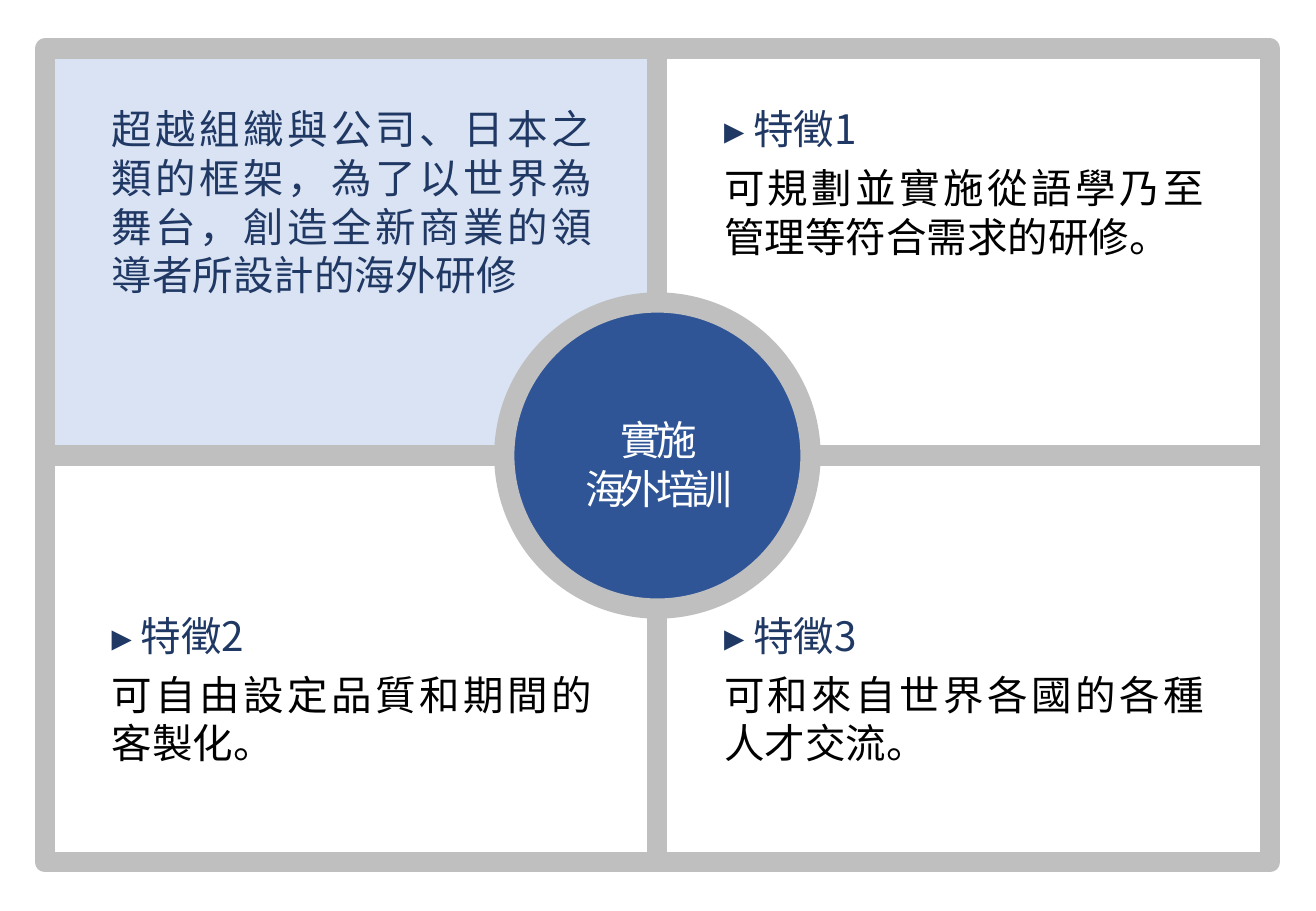
from dataclasses import dataclass

from lxml import etree
from pptx import Presentation
from pptx.dml.color import RGBColor
from pptx.enum.shapes import MSO_SHAPE
from pptx.enum.text import MSO_ANCHOR, MSO_AUTO_SIZE, PP_ALIGN
from pptx.oxml.ns import qn
from pptx.util import Inches, Pt

FONT = "Noto Sans CJK SC"
TEXT_SIZE = 24
COLORS = {
    "white": "FFFFFF",
    "frame": "BFBFBF",
    "tint": "DAE3F3",
    "circle": "2F5597",
    "heading": "203864",
    "body": "000000",
}

# Grid of four panels, in inches
LEFT, TOP = 0.37, 0.4
PANEL_W, PANEL_H = 5.04, 3.35
TEXT_INSET = 0.45
TEXT_W = 4.15
TEXT_TOPS = (0.81, 4.98)
CIRCLE = 2.52


@dataclass(frozen=True)
class Line:
    text: str
    color: str


@dataclass(frozen=True)
class Panel:
    row: int
    column: int
    fill: str
    text_height: float
    lines: tuple[Line, ...]


def feature(number: int, row: int, column: int, text: str) -> Panel:
    lines = (Line(f"▸ 特徵{number}", "heading"), Line(text, "body"))
    return Panel(row, column, "white", 1.4, lines)


PANELS = (
    feature(1, 0, 1, "可規劃並實施從語學乃至管理等符合需求的研修。"),
    feature(3, 1, 1, "可和來自世界各國的各種人才交流。"),
    Panel(0, 0, "tint", 1.72, (
        Line("超越組織與公司、日本之類的框架，為了以世界為舞台，"
             "創造全新商業的領導者所設計的海外研修", "heading"),
    )),
    feature(2, 1, 0, "可自由設定品質和期間的客製化。"),
)
CENTER_LINES = (Line("實施", "white"), Line("海外培訓", "white"))


def rgb(name: str) -> RGBColor:
    return RGBColor.from_string(COLORS[name])


def add_framed(slide, kind: MSO_SHAPE, left: float, top: float,
               width: float, height: float, fill: str) -> None:
    shape = slide.shapes.add_shape(
        kind, Inches(left), Inches(top), Inches(width), Inches(height))
    shape.shadow.inherit = False
    shape.fill.solid()
    shape.fill.fore_color.rgb = rgb(fill)
    shape.line.color.rgb = rgb("frame")
    shape.line.width = Pt(12)


def write_lines(frame, lines: tuple[Line, ...], align: PP_ALIGN,
                space_after: float = 0, spacing: float = 0) -> None:
    frame.word_wrap = True
    frame.auto_size = MSO_AUTO_SIZE.NONE
    frame.vertical_anchor = MSO_ANCHOR.TOP
    for index, line in enumerate(lines):
        paragraph = frame.add_paragraph() if index else frame.paragraphs[0]
        paragraph.alignment = align
        paragraph.space_after = Pt(space_after)
        run = paragraph.add_run()
        run.text = line.text
        run.font.size = Pt(TEXT_SIZE)
        run.font.name = FONT
        run.font.color.rgb = rgb(line.color)
        properties = run.font._element
        etree.SubElement(properties, qn("a:ea")).set("typeface", FONT)
        if spacing:
            properties.set("spc", str(round(spacing * 100)))


def add_panel(slide, panel: Panel) -> None:
    add_framed(slide, MSO_SHAPE.RECTANGLE, LEFT + panel.column * PANEL_W,
               TOP + panel.row * PANEL_H, PANEL_W, PANEL_H, panel.fill)


def add_panel_text(slide, panel: Panel) -> None:
    box = slide.shapes.add_textbox(
        Inches(LEFT + TEXT_INSET + panel.column * PANEL_W),
        Inches(TEXT_TOPS[panel.row]), Inches(TEXT_W), Inches(panel.text_height))
    write_lines(box.text_frame, panel.lines, PP_ALIGN.JUSTIFY, space_after=6)


def place_title(slide) -> None:
    title = slide.shapes.title
    title.left, title.top = Inches(4.28), Inches(3.37)
    title.width, title.height = Inches(2.28), Inches(0.91)
    write_lines(title.text_frame, CENTER_LINES, PP_ALIGN.CENTER, spacing=-3)
    # Bring the title in front of the circle
    slide.shapes.element.append(title.element)


def main() -> None:
    deck = Presentation()
    deck.slide_width, deck.slide_height = Inches(10.83), Inches(7.5)
    slide = deck.slides.add_slide(deck.slide_layouts.get_by_name("Title Only"))

    # Four framed panels
    for panel in PANELS:
        add_panel(slide, panel)

    # Circle over the crossing of the frames
    add_framed(slide, MSO_SHAPE.OVAL, LEFT + PANEL_W - CIRCLE / 2,
               TOP + PANEL_H - CIRCLE / 2, CIRCLE, CIRCLE, "circle")

    # Texts
    for panel in PANELS:
        add_panel_text(slide, panel)
    place_title(slide)

    deck.save("out.pptx")


main()
